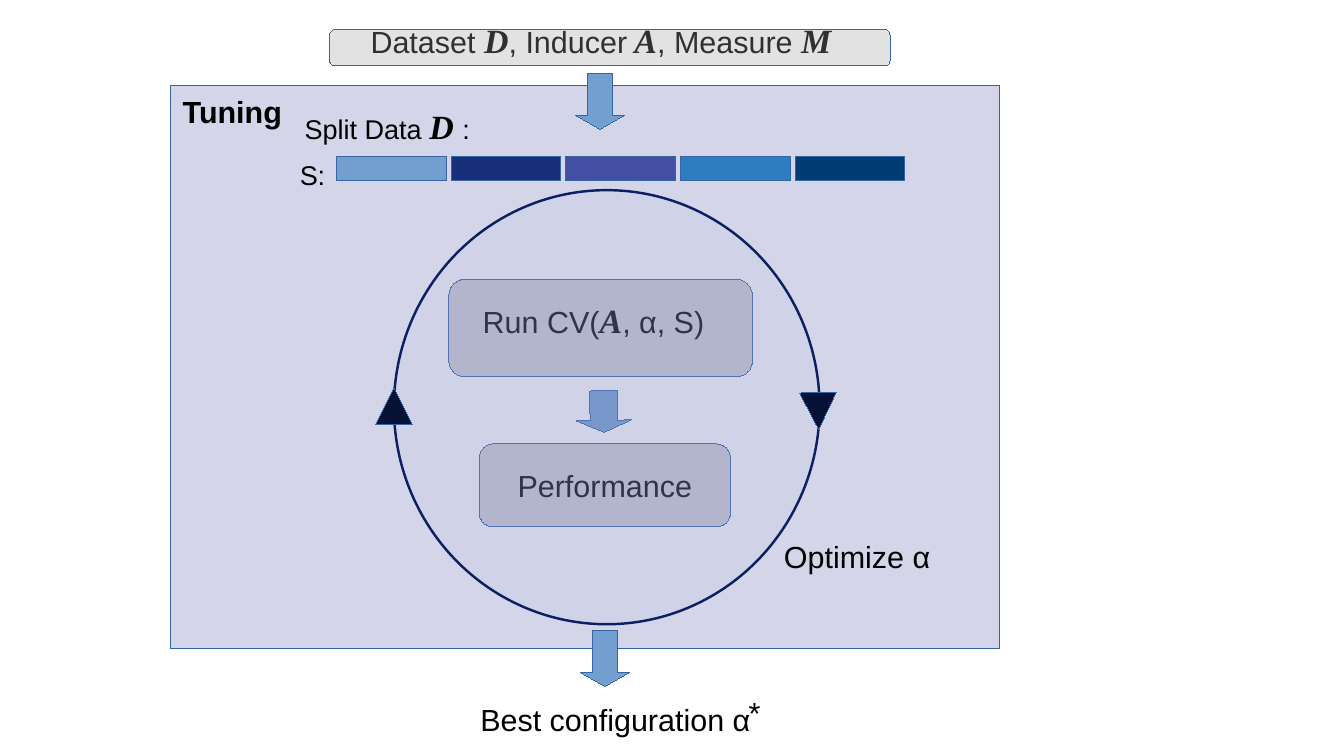
import pptx
import pptx.util
import pptx.dml.color
import pptx.enum.shapes
import pptx.enum.text
import lxml.etree

Inches = pptx.util.Inches
Pt = pptx.util.Pt
Shape = pptx.enum.shapes.MSO_SHAPE
BOX = Shape.FLOWCHART_ALTERNATE_PROCESS
BAR = Shape.RECTANGLE
DOWN = Shape.DOWN_ARROW
TRIANGLE = Shape.ISOSCELES_TRIANGLE
GREY, BLUE, NAVY = "A0A0A2", "729FCF", "071136"

BODY = {"name": "Arial", "size": Pt(18)}
SMALL = {"name": "Arial", "size": Pt(16)}
TITLE = {**BODY, "bold": True}
SYMBOL = {"name": "Times New Roman", "size": Pt(20), "bold": True, "italic": True}


def paint(fill, color, opacity=100):
    fill.solid()
    fill.fore_color.rgb = pptx.dml.color.RGBColor.from_string(color)
    if opacity < 100:
        color_node = fill._xPr.find(".//" + pptx.oxml.ns.qn("a:srgbClr"))
        alpha = lxml.etree.SubElement(color_node, pptx.oxml.ns.qn("a:alpha"))
        alpha.set("val", str(opacity * 1000))


def write(frame, runs):
    for text, style in runs:
        run = frame.paragraphs[0].add_run()
        run.text = text
        paint(run.font.fill, "000000")
        for attribute, value in style.items():
            setattr(run.font, attribute, value)


presentation = pptx.Presentation()
presentation.slide_width = Inches(11.02)
presentation.slide_height = Inches(6.2)
slide = presentation.slides.add_slide(presentation.slide_layouts[6])

run_cv = [("Run CV(", BODY), ("A", SYMBOL), (", α, S)", BODY)]
inputs = [("Dataset ", BODY), ("D", SYMBOL), (", Inducer", BODY), (" A", SYMBOL),
          (", Measure ", BODY), ("M", SYMBOL)]
split_data = [("Split Data ", SMALL), ("D ", SYMBOL), (":", SMALL)]
fold_colors = [BLUE, "182F7C", "454FA1", "1B75BC", "003D73"]
folds = [(BAR, (2.76 + 0.94 * i, 1.28, 0.9, 0.2), {"fill": color, "opacity": 90 if i == 3 else 100})
         for i, color in enumerate(fold_colors)]

parts = [
    (BOX, (3.68, 2.29, 2.49, 0.8), {"fill": GREY, "opacity": 50}),
    (None, (3.86, 2.41, 2.33, 0.5), {"runs": run_cv}),
    (BOX, (3.93, 3.64, 2.06, 0.68), {"fill": GREY, "opacity": 50, "runs": [("Performance", BODY)]}),
    (Shape.RIGHT_ARROW, (4.78, 3.15, 0.34, 0.45), {"fill": BLUE, "rotation": 89}),
    (BAR, (1.4, 0.7, 6.8, 4.62), {"fill": "7477B8", "opacity": 30}),
    (None, (1.4, 0.71, 1.2, 0.38), {"runs": [("Tuning", TITLE)]}),
    (None, (2.94, 0.11, 4.16, 0.5), {"runs": inputs, "wrap": False}),
    (DOWN, (4.72, 0.6, 0.4, 0.46), {"fill": BLUE}),
    (BOX, (2.7, 0.24, 4.6, 0.3), {"fill": GREY, "opacity": 30}),
    *folds,
    (None, (2.4, 0.82, 1.64, 0.54), {"runs": split_data}),
    (None, (2.36, 1.25, 1.3, 0.35), {"runs": [("S:", SMALL)]}),
    (Shape.OVAL, (3.23, 1.56, 3.49, 3.56),
     {"fill": "ADC5E7", "opacity": 10, "line": "0D1F63", "width": 1.45}),
    (TRIANGLE, (3.08, 3.18, 0.3, 0.3), {"fill": NAVY}),
    (TRIANGLE, (6.56, 3.22, 0.3, 0.3), {"fill": NAVY, "rotation": 178.8}),
    (None, (6.33, 4.36, 1.43, 0.38), {"runs": [("Optimize α", BODY)]}),
    (DOWN, (4.76, 5.17, 0.4, 0.46), {"fill": BLUE}),
    (None, (3.84, 5.7, 2.46, 0.38), {"runs": [("Best configuration α", BODY)]}),
    (None, (6.04, 5.64, 0.29, 0.38), {"runs": [("*", BODY)], "wrap": False}),
]

for kind, place, look in parts:
    place = [Inches(length) for length in place]
    if kind is None:
        label = slide.shapes.add_textbox(*place)
        label.text_frame.word_wrap = look.get("wrap", True)
        label.text_frame.auto_size = pptx.enum.text.MSO_AUTO_SIZE.SHAPE_TO_FIT_TEXT
        write(label.text_frame, look["runs"])
        continue
    block = slide.shapes.add_shape(kind, *place)
    block.shadow.inherit = False
    block.rotation = look.get("rotation", 0)
    paint(block.fill, look["fill"], look.get("opacity", 100))
    paint(block.line.fill, look.get("line", "3465A4"))
    block.line.width = Pt(look.get("width", 0.01))
    if kind in (DOWN, Shape.RIGHT_ARROW):
        block.adjustments[1] = 0.286
    if "runs" in look:
        block.text_frame.word_wrap = False
        block.text_frame.vertical_anchor = pptx.enum.text.MSO_ANCHOR.MIDDLE
        block.text_frame.paragraphs[0].alignment = pptx.enum.text.PP_ALIGN.CENTER
        write(block.text_frame, look["runs"])

presentation.save("out.pptx")
